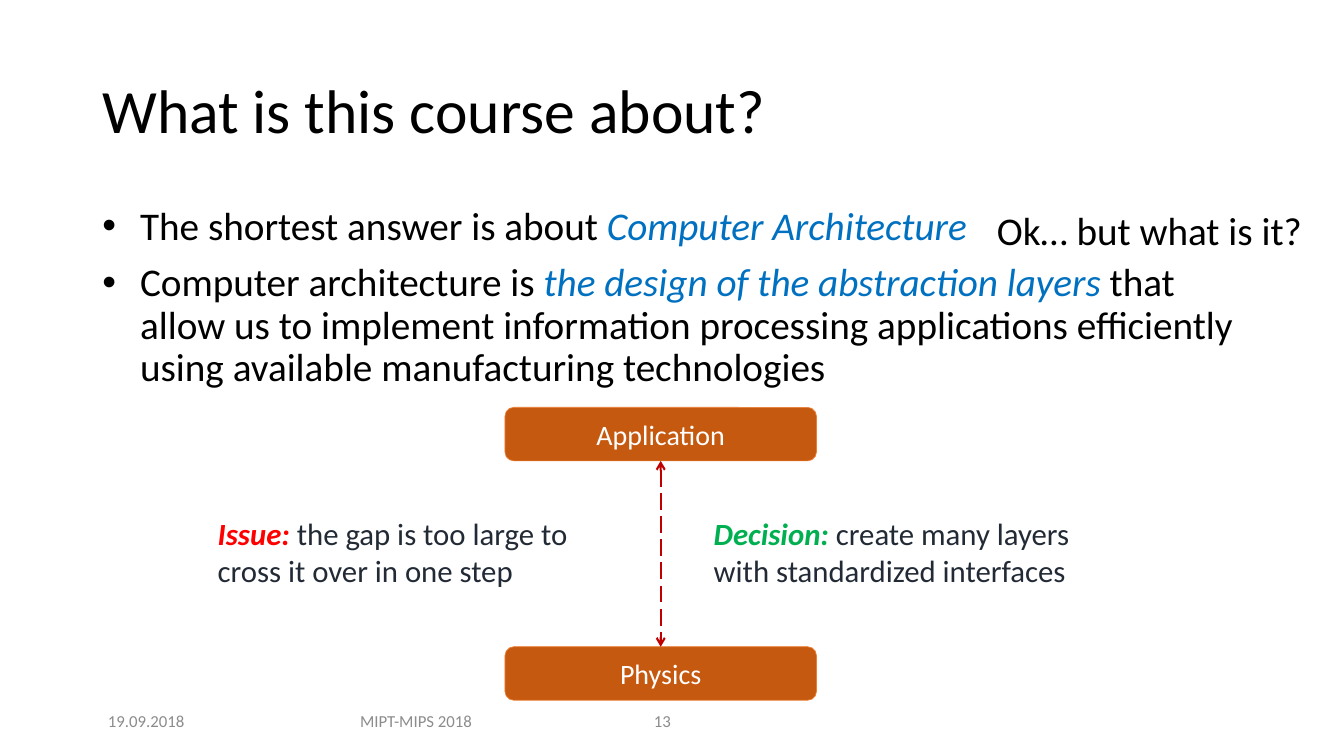
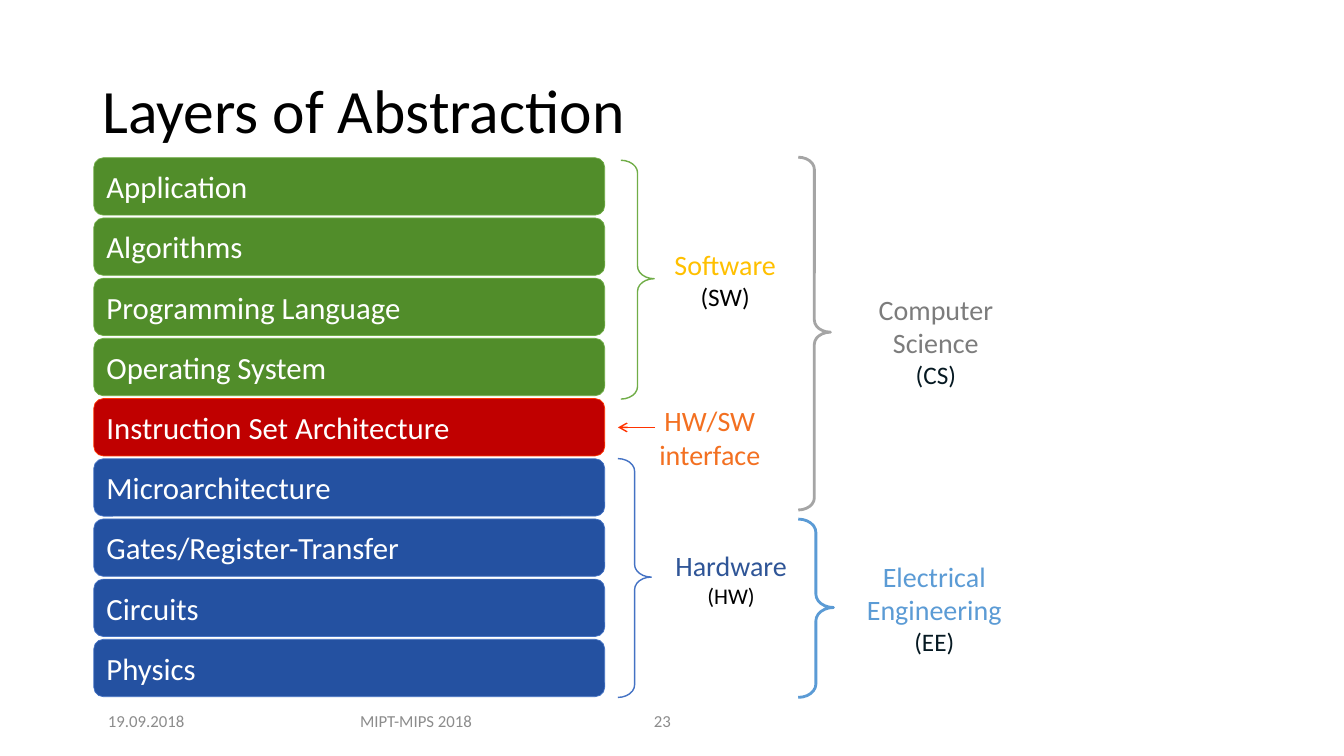
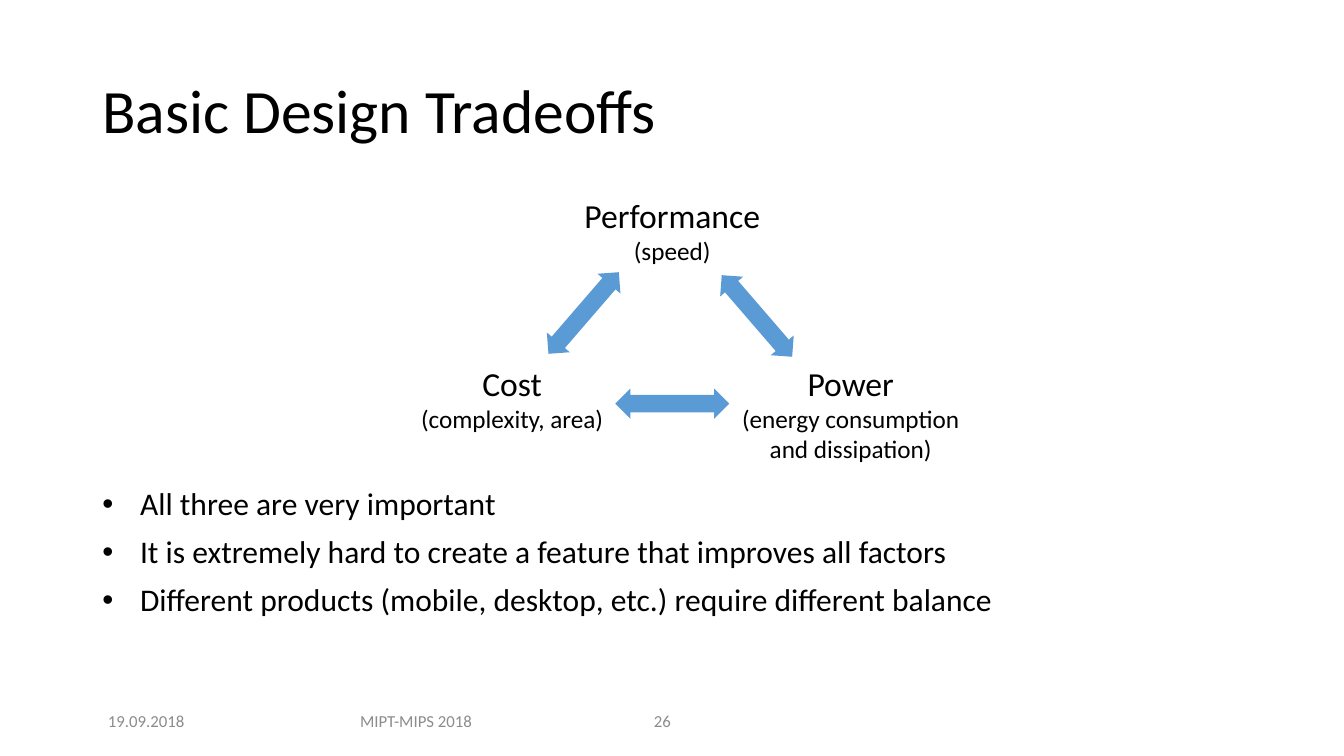
"""Build three lecture slides on computer architecture and its abstraction layers."""
from lxml.etree import SubElement
from pptx import Presentation
from pptx.dml.color import RGBColor
from pptx.enum.dml import MSO_LINE
from pptx.enum.shapes import MSO_CONNECTOR, MSO_SHAPE
from pptx.enum.text import MSO_ANCHOR, PP_ALIGN
from pptx.oxml.ns import qn
from pptx.util import Pt

FONT = "Calibri"
BLACK, WHITE, GREY, INK = "000000", "FFFFFF", "8C8C8C", "222A35"
BLUE, ORANGE, ORANGE_EDGE = "0070C0", "C65910", "ED7D31"
RED, RED_EDGE, SKY = "C00000", "FF3300", "5B9BD5"
GREEN, GREEN_EDGE, NAVY, NAVY_EDGE = "518D2A", "70AD47", "2451A1", "4472C4"

TITLE_BOX = (66, 29, 828, 104)
FOOTER_TOP, FOOTER_HEIGHT = 500.4, 29
FOOTERS = [("19.09.2018", 66, 77), ("MIPT-MIPS 2018", 240.5, 113.5)]
NUMBER_LEFT, NUMBER_WIDTH = 460, 57

TERM = {"color": BLUE, "italic": True}
COURSE_BULLETS = [
    ["The shortest answer is about ", ("Computer Architecture", TERM)],
    ["Computer architecture is ", ("the design of the abstraction layers ", TERM),
     "that allow us to implement information processing applications efficiently "
     "using available manufacturing technologies"],
]
ENDPOINTS = [("Application", 291), ("Physics", 462)]
ENDPOINT_LEFT, ENDPOINT_WIDTH, ENDPOINT_HEIGHT = 360.7, 222.5, 38.2
REMARKS = [
    ("Issue: ", "FF0000", "the gap is too large to cross it over in one step", 155.5, 275),
    ("Decision: ", "00B050", "create many layers with standardized interfaces", 509.8, 290),
]

LAYER_GROUPS = [
    (GREEN, GREEN_EDGE, ["Application", "Algorithms", "Programming Language", "Operating System"]),
    (RED, RED_EDGE, ["Instruction Set Architecture"]),
    (NAVY, NAVY_EDGE, ["Microarchitecture", "Gates/Register-Transfer", "Circuits", "Physics"]),
]
LAYER_LEFT, LAYER_TOP, LAYER_WIDTH, LAYER_HEIGHT, LAYER_PITCH = 67, 112.7, 365, 41, 43
BRACES = [
    ((441.4, 327.6, 23.8, 170.6), NAVY_EDGE, 1),
    ((443.5, 114.5, 23.8, 170.6), GREEN_EDGE, 1),
    ((570.2, 112.3, 23, 252), "A5A5A5", 2),
    ((570.2, 370.8, 25.2, 127.4), SKY, 2),
]
SMALL, MEDIUM = {"size": 16, "color": BLACK}, {"size": 18, "color": BLACK}
DARK = {"size": 18, "color": "061922"}
BRACE_LABELS = [
    ((465, 388, 114.5, 51), "2F5597", [["Hardware", (" (HW)", SMALL)]]),
    ((461.5, 173.5, 113, 53), "FFC000", [["Software ", ("(SW)", MEDIUM)]]),
    ((456.5, 285, 101, 55.5), "F37021", [["HW/SW interface"]]),
    ((612, 205.2, 113, 78), "7C7C7C", [["Computer Science"], [("(CS)", DARK)]]),
    ((602.6, 396, 129.6, 78), SKY, [["Electrical Engineering"], [("(EE)", DARK)]]),
]

FACTORS = [
    ("Performance", "(speed)", 480.2, 136),
    ("Cost", "(complexity, area)", 365.8, 255.6),
    ("Power", "(energy consumption and dissipation)", 607.7, 255.6),
]
FACTOR_WIDTH, FACTOR_HEIGHT = 177, 58
TRADEOFF_ARROWS = [(540.7, 225.7, 77, 319.2), (416.9, 223.6, 77, 40.8), (480.2, 288.4, 81.4, 90)]
ARROW_THICKNESS = 21.6
TRADEOFF_BULLETS = [
    ["All three are very important"],
    ["It is extremely hard to create a feature that improves all factors"],
    ["Different products (mobile, desktop, etc.) require different balance"],
]


def rgb(value):
    """Turn a hex string into a colour."""
    return RGBColor.from_string(value)


def add_bullet(paragraph):
    """Give a paragraph a hanging round bullet."""
    properties = paragraph._p.get_or_add_pPr()
    properties.set("marL", str(Pt(27)))
    properties.set("indent", str(-Pt(27)))
    SubElement(properties, qn("a:buFont"), typeface="Arial")
    SubElement(properties, qn("a:buChar"), char="•")


def write(shape, paragraphs, size=20, color=BLACK, align=PP_ALIGN.LEFT, anchor=MSO_ANCHOR.TOP,
          spacing=None, before=0, bullet=False, inset=None):
    """Fill a shape with paragraphs made of plain or formatted runs."""
    frame = shape.text_frame
    frame.word_wrap = True
    frame.vertical_anchor = anchor
    if inset is not None:
        frame.margin_left = frame.margin_right = frame.margin_top = frame.margin_bottom = Pt(inset)
    for index, runs in enumerate(paragraphs):
        paragraph = frame.add_paragraph() if index else frame.paragraphs[0]
        if bullet:
            add_bullet(paragraph)
        paragraph.alignment = align
        if spacing:
            paragraph.line_spacing = spacing
        if index and before:
            paragraph.space_before = Pt(before)
        for item in runs:
            text, style = (item, {}) if isinstance(item, str) else item
            run = paragraph.add_run()
            run.text = text
            run.font.name = FONT
            run.font.size = Pt(style.get("size", size))
            run.font.color.rgb = rgb(style.get("color", color))
            run.font.bold = style.get("bold", False)
            run.font.italic = style.get("italic", False)


def add_text(slide, box, paragraphs, **style):
    """Add a text box at a place given in points."""
    shape = slide.shapes.add_textbox(*map(Pt, box))
    write(shape, paragraphs, **style)


def add_shape(slide, kind, box, fill=None, line=None, weight=0.5, adjustments=()):
    """Add a preset shape without a shadow."""
    shape = slide.shapes.add_shape(kind, *map(Pt, box))
    shape.shadow.inherit = False
    for index, value in enumerate(adjustments):
        shape.adjustments[index] = value
    if fill:
        shape.fill.solid()
        shape.fill.fore_color.rgb = rgb(fill)
    else:
        shape.fill.background()
    if line:
        shape.line.color.rgb = rgb(line)
        shape.line.width = Pt(weight)
    else:
        shape.line.fill.background()
    return shape


def add_arrow(slide, start, end, color, weight, ends, dash=None):
    """Add a straight connector with open arrowheads."""
    points = map(Pt, (*start, *end))
    connector = slide.shapes.add_connector(MSO_CONNECTOR.STRAIGHT, *points)
    connector.line.color.rgb = rgb(color)
    connector.line.width = Pt(weight)
    if dash:
        connector.line.dash_style = dash
    for end_name in ends:
        SubElement(connector.line._get_or_add_ln(), qn(f"a:{end_name}"), type="arrow")
    SubElement(connector._element.spPr, qn("a:effectLst"))


def add_slide(presentation, title, number):
    """Add a blank slide with the shared title and footers."""
    slide = presentation.slides.add_slide(presentation.slide_layouts[6])
    add_text(slide, TITLE_BOX, [[title]], size=44, anchor=MSO_ANCHOR.MIDDLE, spacing=0.9)
    footers = [(text, left, width, PP_ALIGN.CENTER) for text, left, width in FOOTERS]
    footers.append((number, NUMBER_LEFT, NUMBER_WIDTH, PP_ALIGN.LEFT))
    for text, left, width, align in footers:
        add_text(slide, (left, FOOTER_TOP, width, FOOTER_HEIGHT), [[text]], size=12,
                 color=GREY, align=align, anchor=MSO_ANCHOR.MIDDLE)
    return slide


def add_bullets(slide, top, height, bullets, size):
    """Add the bulleted body text under the title."""
    left, _, width, _ = TITLE_BOX
    add_text(slide, (left, top, width, height), bullets, size=size, spacing=0.9,
             before=10, bullet=True)


def build_course(presentation):
    """Build the slide that defines the course."""
    slide = add_slide(presentation, "What is this course about?", "13")
    add_bullets(slide, 144, 325.5, COURSE_BULLETS, 28)
    question = add_shape(slide, MSO_SHAPE.RECTANGLE, (705, 144, 240, 41), WHITE)
    write(question, [["Ok… but what is it?"]], size=28)
    for text, top in ENDPOINTS:
        box = (ENDPOINT_LEFT, top, ENDPOINT_WIDTH, ENDPOINT_HEIGHT)
        endpoint = add_shape(slide, MSO_SHAPE.ROUNDED_RECTANGLE, box, ORANGE, ORANGE_EDGE)
        write(endpoint, [[text]], color=WHITE, align=PP_ALIGN.CENTER, anchor=MSO_ANCHOR.MIDDLE)
    center = ENDPOINT_LEFT + ENDPOINT_WIDTH / 2
    (_, upper), (_, lower) = ENDPOINTS
    add_arrow(slide, (center, upper + ENDPOINT_HEIGHT), (center, lower), RED, 1.5,
              ("headEnd", "tailEnd"), MSO_LINE.LONG_DASH)
    for label, color, text, left, width in REMARKS:
        label_style = {"color": color, "bold": True, "italic": True}
        add_text(slide, (left, 368, width, 62.5), [[(label, label_style), text]],
                 size=22, color=INK, inset=0)


def build_layers(presentation):
    """Build the slide with the stack of abstraction layers."""
    slide = add_slide(presentation, "Layers of Abstraction", "23")
    layers = [(name, fill, line) for fill, line, names in LAYER_GROUPS for name in names]
    for index, (name, fill, line) in enumerate(layers):
        box = (LAYER_LEFT, LAYER_TOP + index * LAYER_PITCH, LAYER_WIDTH, LAYER_HEIGHT)
        layer = add_shape(slide, MSO_SHAPE.ROUNDED_RECTANGLE, box, fill, line)
        write(layer, [[name]], size=22, color=WHITE, anchor=MSO_ANCHOR.MIDDLE)
    for box, color, weight in BRACES:
        add_shape(slide, MSO_SHAPE.RIGHT_BRACE, box, line=color, weight=weight,
                  adjustments=(0.378, 0.496))
    for box, color, paragraphs in BRACE_LABELS:
        add_text(slide, box, paragraphs, color=color, align=PP_ALIGN.CENTER)
    add_arrow(slide, (468, 305.3), (441.4, 305.3), RED_EDGE, 1, ("tailEnd",))


def build_tradeoffs(presentation):
    """Build the slide with the triangle of design factors."""
    slide = add_slide(presentation, "Basic Design Tradeoffs", "26")
    add_bullets(slide, 345, 118, TRADEOFF_BULLETS, 22.5)
    for name, detail, center, top in FACTORS:
        box = (center - FACTOR_WIDTH / 2, top, FACTOR_WIDTH, FACTOR_HEIGHT)
        add_text(slide, box, [[name], [(detail, MEDIUM)]], size=24, align=PP_ALIGN.CENTER)
    for center, middle, length, rotation in TRADEOFF_ARROWS:
        box = (center - ARROW_THICKNESS / 2, middle - length / 2, ARROW_THICKNESS, length)
        arrow = add_shape(slide, MSO_SHAPE.UP_DOWN_ARROW, box, SKY, adjustments=(0.283, 0.575))
        arrow.rotation = rotation


def main():
    """Build and save the presentation."""
    presentation = Presentation()
    presentation.slide_width, presentation.slide_height = Pt(960), Pt(540)
    build_course(presentation)
    build_layers(presentation)
    build_tradeoffs(presentation)
    presentation.save("out.pptx")


if __name__ == "__main__":
    main()
